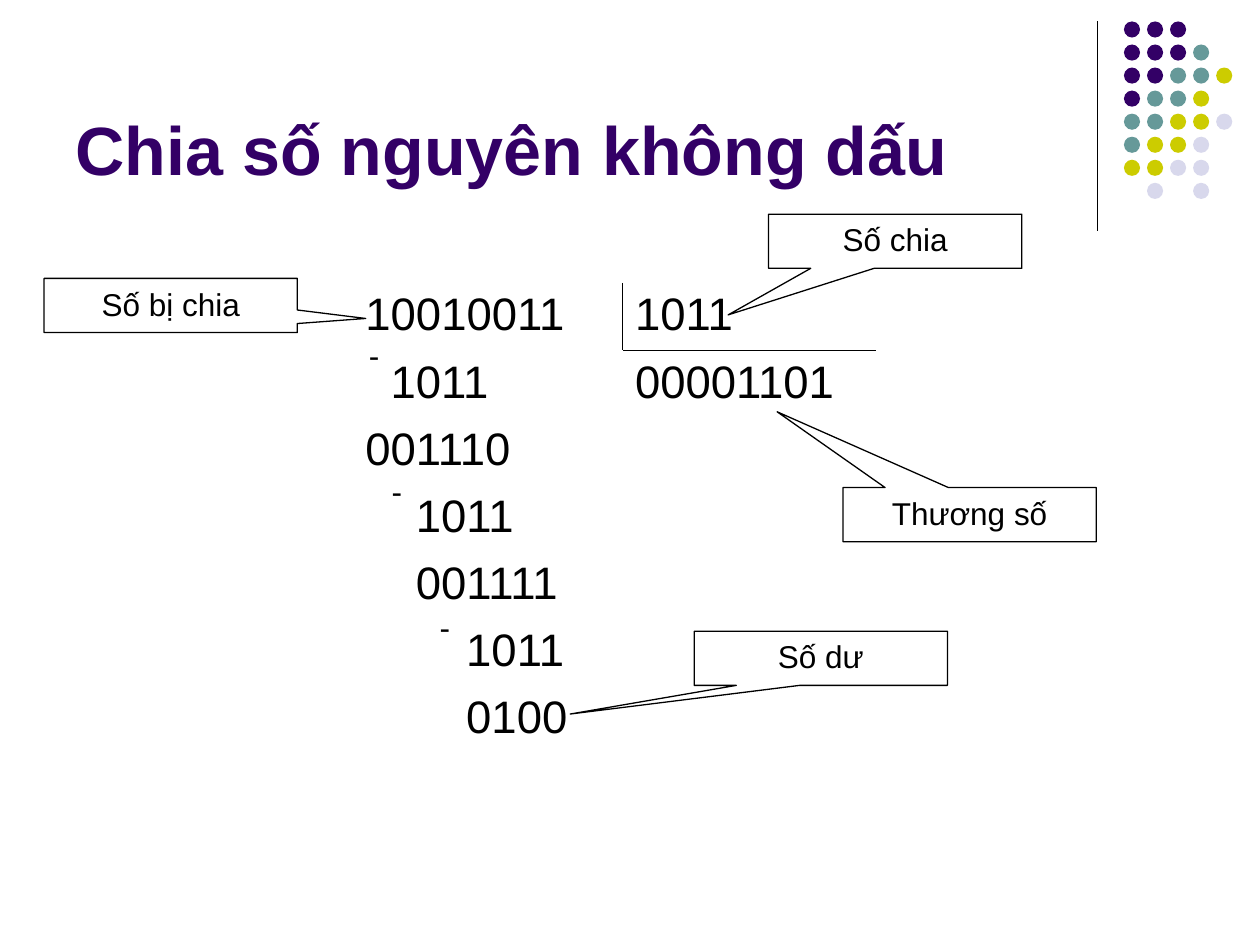
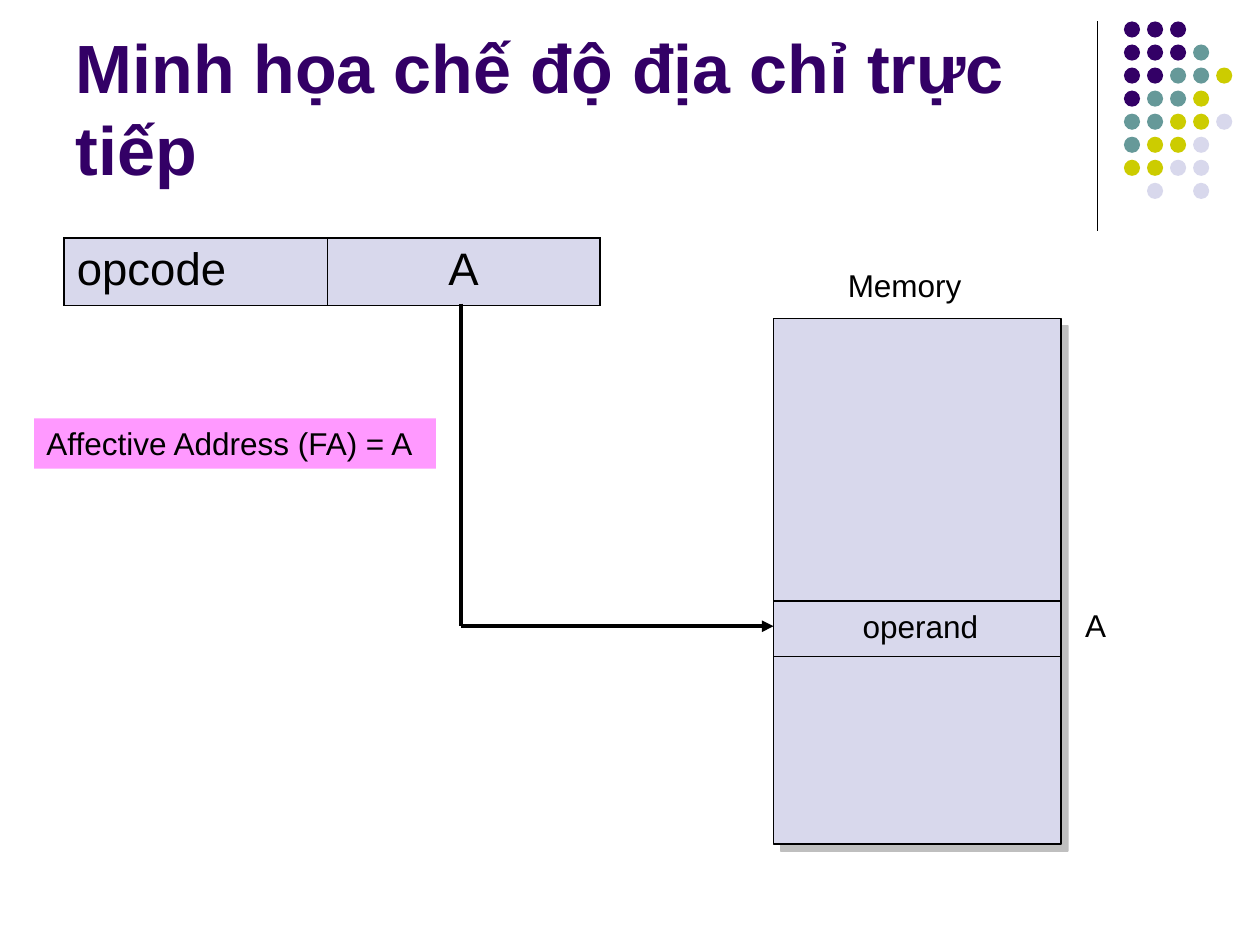
from typing import NamedTuple

from lxml import etree
from pptx import Presentation
from pptx.dml.color import RGBColor
from pptx.enum.shapes import MSO_CONNECTOR, MSO_SHAPE
from pptx.enum.text import MSO_ANCHOR, MSO_AUTO_SIZE, PP_ALIGN
from pptx.oxml.ns import qn
from pptx.util import Emu, Inches, Pt

RECTANGLE = MSO_SHAPE.RECTANGLE
ELLIPSE = MSO_SHAPE.OVAL
CALLOUT = MSO_SHAPE.RECTANGULAR_CALLOUT
STRAIGHT = MSO_CONNECTOR.STRAIGHT
LEFT, CENTER = PP_ALIGN.LEFT, PP_ALIGN.CENTER
TOP, BOTTOM = MSO_ANCHOR.TOP, MSO_ANCHOR.BOTTOM

BLACK = RGBColor(0x00, 0x00, 0x00)
GRAY = RGBColor(0x80, 0x80, 0x80)
PURPLE = RGBColor(0x33, 0x00, 0x66)
TEAL = RGBColor(0x66, 0x99, 0x99)
YELLOW = RGBColor(0xCC, 0xCC, 0x00)
LAVENDER = RGBColor(0xD8, 0xD8, 0xEC)
PINK = RGBColor(0xFF, 0x99, 0xFF)

FONT = "Arial"
TITLE_SIZE, TABLE_SIZE, LABEL_SIZE = 39, 26, 18
THIN, THICK = 0.75, 2.25
INNER_BORDER, OUTER_BORDER = 0.45, 1.08

SLIDE_WIDTH, SLIDE_HEIGHT = Inches(10), Inches(7.5)
GRID_COLUMNS = 100  # square cells, so 75 rows
CELL = SLIDE_WIDTH // GRID_COLUMNS
TITLE_ONLY_LAYOUT = 5

DOT_COLORS = {"P": PURPLE, "T": TEAL, "Y": YELLOW, "L": LAVENDER}
DOT_ROWS = ("PPP", "PPPT", "PPTTY", "PTTY", "TTYYL", "TYYL", "YYLL", " L L")
DOT_LEFT, DOT_TOP, DOT_PITCH, DOT_SIZE = 89.2, 1.7, 1.83, 1.28


class Box(NamedTuple):
    """A place on the grid, in columns and rows."""
    left: float
    top: float
    width: float
    height: float

    def lengths(self) -> tuple[Emu, ...]:
        return tuple(grid(value) for value in self)


class Callout(NamedTuple):
    text: str
    left: float
    top: float
    tip: tuple[float, float]


class DivisionStep(NamedTuple):
    digits: str
    shift: int = 0
    result: str = ""


TITLE_BOX = Box(5, 1.3, 82.5, 14.2)
DIGIT_WIDTH = 2.0
CELL_MARGIN = 1.0
TABLE_ROW = 5.33

DIVISION_STEPS = (
    DivisionStep("10010011", 0, "1011"),
    DivisionStep("1011", 1, "00001101"),
    DivisionStep("001110"),
    DivisionStep("1011", 2),
    DivisionStep("001111", 2),
    DivisionStep("1011", 4),
    DivisionStep("0100", 4),
)
MINUS_LEFTS = (28.3, 30.1, 33.9)
MINUS_TOP, MINUS_PITCH = 26.2, 10.8
CALLOUT_WIDTH, CALLOUT_HEIGHT = 20.1, 4.3
CALLOUTS = (
    Callout("Số bị chia", 3.5, 22.1, (0.77, 0.24)),
    Callout("Số dư", 55.1, 50.1, (-0.99, 1.03)),
    Callout("Số chia", 61, 17, (-0.66, 1.36)),
    Callout("Thương số", 66.9, 38.7, (-0.76, -1.9)),
)


def grid(cells: float) -> Emu:
    return Emu(round(cells * CELL))


def write(frame, text: str, *, size: float = LABEL_SIZE, color: RGBColor = BLACK,
          bold: bool = False, align=LEFT, anchor=TOP) -> None:
    frame.word_wrap = True
    frame.vertical_anchor = anchor
    paragraph = frame.paragraphs[0]
    paragraph.alignment = align
    run = paragraph.add_run()
    run.text = text
    font = run.font
    font.name, font.size, font.bold = FONT, Pt(size), bold
    font.color.rgb = color


def add_label(slide, box: Box, text: str, **text_format) -> None:
    shape = slide.shapes.add_textbox(*box.lengths())
    write(shape.text_frame, text, **text_format)


def add_filled(shapes, kind, box: Box, fill: RGBColor | None = None,
               outlined: bool = False):
    shape = shapes.add_shape(kind, *box.lengths())
    shape.shadow.inherit = False
    if fill is None:
        shape.fill.background()
    else:
        shape.fill.solid()
        shape.fill.fore_color.rgb = fill
    if outlined:
        shape.line.color.rgb = BLACK
        shape.line.width = Pt(THIN)
    else:
        shape.line.fill.background()
    return shape


def add_line(slide, start: tuple[float, float], end: tuple[float, float],
             width: float = THIN, arrow: bool = False):
    ends = (grid(value) for value in (*start, *end))
    line = slide.shapes.add_connector(STRAIGHT, *ends)
    line.line.color.rgb = BLACK
    line.line.width = Pt(width)
    properties = line.element.spPr
    if arrow:
        etree.SubElement(properties.find(qn("a:ln")), qn("a:tailEnd"), type="triangle")
    etree.SubElement(properties, qn("a:effectLst"))
    return line


def add_drop_shadow(shape) -> None:
    effects = shape.element.spPr.find(qn("a:effectLst"))
    shadow = etree.SubElement(effects, qn("a:outerShdw"), dist=str(Pt(5.7)),
                              dir=str(45 * 60000), algn="ctr", rotWithShape="0")
    color = etree.SubElement(shadow, qn("a:srgbClr"), val=str(GRAY))
    etree.SubElement(color, qn("a:alpha"), val="50000")


def add_plain_table(slide, box: Box, rows: int, column_widths: tuple[float, ...]):
    table = slide.shapes.add_table(rows, len(column_widths), *box.lengths()).table
    table.first_row = table.horz_banding = False
    for column, width in zip(table.columns, column_widths):
        column.width = grid(width)
    for cell in table.iter_cells():
        cell.fill.background()
    return table


def set_borders(cell, **widths: float) -> None:
    """Draw black borders; sides are named L, R, T and B."""
    properties = cell._tc.get_or_add_tcPr()
    sides = [side for side in "LRTB" if side in widths]
    for position, side in enumerate(sides):
        border = etree.Element(qn(f"a:ln{side}"), w=str(Pt(widths[side])))
        fill = etree.SubElement(border, qn("a:solidFill"))
        etree.SubElement(fill, qn("a:srgbClr"), val=str(BLACK))
        properties.insert(position, border)


def decorate_layout(layout, slide) -> None:
    """Draw the rule and the dots, then move them to the layout."""
    rule = add_line(slide, (87.1, 1.7), (87.1, 18.3))
    dots = slide.shapes.add_group_shape()
    for row, codes in enumerate(DOT_ROWS):
        for column, code in enumerate(codes):
            if code in DOT_COLORS:
                box = Box(DOT_LEFT + column * DOT_PITCH, DOT_TOP + row * DOT_PITCH,
                          DOT_SIZE, DOT_SIZE)
                add_filled(dots.shapes, ELLIPSE, box, DOT_COLORS[code])
    for shape in (rule, dots):
        layout.shapes.element.append(shape.element)


def add_titled_slide(presentation, title: str):
    slide = presentation.slides.add_slide(presentation.slide_layouts[TITLE_ONLY_LAYOUT])
    shape = slide.shapes.title
    shape.left, shape.top, shape.width, shape.height = TITLE_BOX.lengths()
    shape.text_frame.auto_size = MSO_AUTO_SIZE.NONE
    write(shape.text_frame, title, size=TITLE_SIZE, color=PURPLE, bold=True, anchor=BOTTOM)
    return slide


def draw_division(slide) -> None:
    count = len(DIVISION_STEPS)
    table = add_plain_table(slide, Box(28, 22.5, 41.5, count * TABLE_ROW), count, (21.4, 20.1))
    for row, step in enumerate(DIVISION_STEPS):
        digits, result = table.cell(row, 0), table.cell(row, 1)
        digits.margin_left = grid(CELL_MARGIN + step.shift * DIGIT_WIDTH)
        write(digits.text_frame, step.digits, size=TABLE_SIZE)
        if step.result:
            write(result.text_frame, step.result, size=TABLE_SIZE)
    set_borders(table.cell(0, 0), R=INNER_BORDER)
    set_borders(table.cell(0, 1), L=INNER_BORDER, B=INNER_BORDER)
    set_borders(table.cell(1, 1), T=INNER_BORDER)

    for index, left in enumerate(MINUS_LEFTS):
        add_label(slide, Box(left, MINUS_TOP + index * MINUS_PITCH, 3.5, 4), "-")

    for callout in CALLOUTS:
        box = Box(callout.left, callout.top, CALLOUT_WIDTH, CALLOUT_HEIGHT)
        shape = add_filled(slide.shapes, CALLOUT, box, outlined=True)
        for index, offset in enumerate(callout.tip):
            shape.adjustments[index] = offset
        write(shape.text_frame, callout.text, align=CENTER)


def draw_direct_addressing(slide) -> None:
    memory = Box(61.4, 25.3, 22.8, 41.7)
    add_drop_shadow(add_filled(slide.shapes, RECTANGLE, memory, LAVENDER, outlined=True))
    add_label(slide, Box(63.8, 20.6, 16, 7), "Memory", align=CENTER)
    for row in (47.7, 52.1):
        add_line(slide, (memory.left, row), (memory.left + memory.width, row))

    instruction = add_plain_table(slide, Box(5.1, 18.9, 42.5, TABLE_ROW), 1, (20.9, 21.6))
    fields = (("opcode", LEFT, OUTER_BORDER, INNER_BORDER),
              ("A", CENTER, INNER_BORDER, OUTER_BORDER))
    for cell, (text, align, left, right) in zip(instruction.iter_cells(), fields):
        cell.fill.solid()
        cell.fill.fore_color.rgb = LAVENDER
        set_borders(cell, L=left, R=right, T=OUTER_BORDER, B=OUTER_BORDER)
        write(cell.text_frame, text, size=TABLE_SIZE, align=align)

    add_label(slide, Box(83.5, 47.6, 6.9, 7), "A", align=CENTER)
    add_label(slide, Box(62.6, 47.7, 20.9, 4), "operand", align=CENTER)
    address = add_filled(slide.shapes, RECTANGLE, Box(2.7, 33.2, 31.9, 4), PINK)
    write(address.text_frame, "Affective Address (FA) = A")

    corner = (36.6, 49.7)
    add_line(slide, (corner[0], 24.1), corner, THICK)
    add_line(slide, corner, (memory.left, corner[1]), THICK, arrow=True)


def main() -> None:
    presentation = Presentation()
    presentation.slide_width, presentation.slide_height = SLIDE_WIDTH, SLIDE_HEIGHT
    division = add_titled_slide(presentation, "Chia số nguyên không dấu")
    decorate_layout(division.slide_layout, division)
    draw_division(division)
    addressing = add_titled_slide(presentation, "Minh họa chế độ địa chỉ trực tiếp")
    draw_direct_addressing(addressing)
    presentation.save("out.pptx")


if __name__ == "__main__":
    main()
